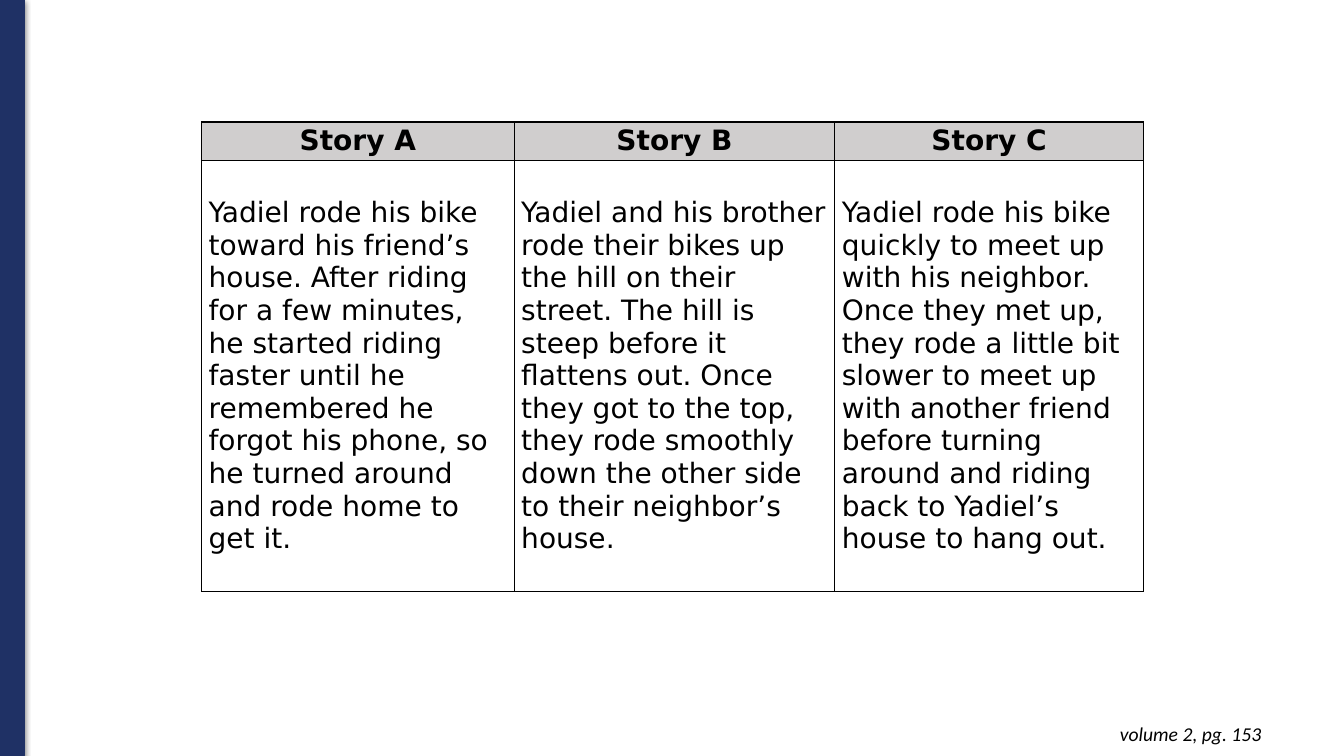
from lxml import etree
from pptx import Presentation
from pptx import util as u
from pptx.dml.color import RGBColor
from pptx.enum import shapes, text
from pptx.oxml import parse_xml
from pptx.oxml.ns import nsdecls, qn

WIDE, HIGH = u.Inches(13.33), u.Inches(7.5)
HUES = {"navy": "1F3165", "grey": "D0CECE", "ink": "000000"}
COLS = (23.26, 23.86, 22.96)
ROWS = (5.07, 57.07)
TALES = {
    "Story A": "Yadiel rode his bike toward his friend’s house. After riding for a few "
               "minutes, he started riding faster until he remembered he forgot his phone, "
               "so he turned around and rode home to get it.",
    "Story B": "Yadiel and his brother rode their bikes up the hill on their street. The "
               "hill is steep before it flattens out. Once they got to the top, they rode "
               "smoothly down the other side to their neighbor’s house.",
    "Story C": "Yadiel rode his bike quickly to meet up with his neighbor. Once they met "
               "up, they rode a little bit slower to meet up with another friend before "
               "turning around and riding back to Yadiel’s house to hang out.",
}


def hue(name):
    return RGBColor.from_string(HUES[name])


def across(share):
    return round(WIDE * share / 100)


def down(share):
    return round(HIGH * share / 100)


def place(left, top, width, height):
    return across(left), down(top), across(width), down(height)


def style(para, face, size, align, bold=False, slant=False):
    para.alignment = align
    for run in para.runs:
        font = run.font
        font.name, font.size = face, u.Pt(size)
        font.bold, font.italic = bold, slant
        font.color.rgb = hue("ink")


def add_bar(slide):
    bar = slide.shapes.add_shape(shapes.MSO_SHAPE.RECTANGLE, *place(0, 0, 1.8, 100))
    bar.fill.solid()
    bar.fill.fore_color.rgb = hue("navy")
    bar.line.color.rgb = hue("navy")
    bar.line.width = u.Pt(0.75)
    bar.shadow.inherit = False
    glow = bar.element.spPr.find(qn("a:effectLst"))
    glow.append(parse_xml(
        f'<a:outerShdw {nsdecls("a")} blurRad="{u.Pt(4.5)}" dist="{u.Pt(1.5)}" '
        f'dir="5400000" rotWithShape="0"><a:srgbClr val="{HUES["ink"]}">'
        '<a:alpha val="50000"/></a:srgbClr></a:outerShdw>'))


def add_note(slide, words):
    frame = slide.shapes.add_textbox(*place(73, 94.13, 21.6, 5.87)).text_frame
    frame.word_wrap = True
    frame.margin_left = frame.margin_right = u.Inches(0.1)
    frame.margin_top = frame.margin_bottom = u.Inches(0.1)
    frame.text = words
    style(frame.paragraphs[0], "Calibri", 14, text.PP_ALIGN.RIGHT, slant=True)


def edge(cell):
    props = cell._tc.get_or_add_tcPr()
    for side in ("lnL", "lnR", "lnT", "lnB"):
        line = etree.SubElement(props, qn(f"a:{side}"), w=str(u.Pt(1)))
        fill = etree.SubElement(line, qn("a:solidFill"))
        etree.SubElement(fill, qn("a:srgbClr"), val=HUES["ink"])


def fill_cell(cell, words, head):
    edge(cell)
    if head:
        cell.fill.solid()
        cell.fill.fore_color.rgb = hue("grey")
    else:
        cell.fill.background()
    cell.vertical_anchor = text.MSO_ANCHOR.MIDDLE
    cell.margin_left = cell.margin_right = u.Inches(0.07)
    cell.margin_top = cell.margin_bottom = 0
    cell.text_frame.text = words
    align = text.PP_ALIGN.CENTER if head else text.PP_ALIGN.LEFT
    style(cell.text_frame.paragraphs[0], "DejaVu Sans", 20, align, bold=head)


def add_tales(slide):
    spot = place(15, 16.13, sum(COLS), sum(ROWS))
    grid = slide.shapes.add_table(len(ROWS), len(COLS), *spot).table
    grid.horz_banding = False
    for row, share in zip(grid.rows, ROWS):
        row.height = down(share)
    for at, (share, tale) in enumerate(zip(COLS, TALES.items())):
        grid.columns[at].width = across(share)
        for row, words in enumerate(tale):
            fill_cell(grid.cell(row, at), words, row == 0)


def main():
    deck = Presentation()
    deck.slide_width, deck.slide_height = WIDE, HIGH
    slide = deck.slides.add_slide(deck.slide_layouts[6])
    add_bar(slide)
    add_note(slide, "volume 2, pg. 153")
    add_tales(slide)
    deck.save("out.pptx")


if __name__ == "__main__":
    main()
